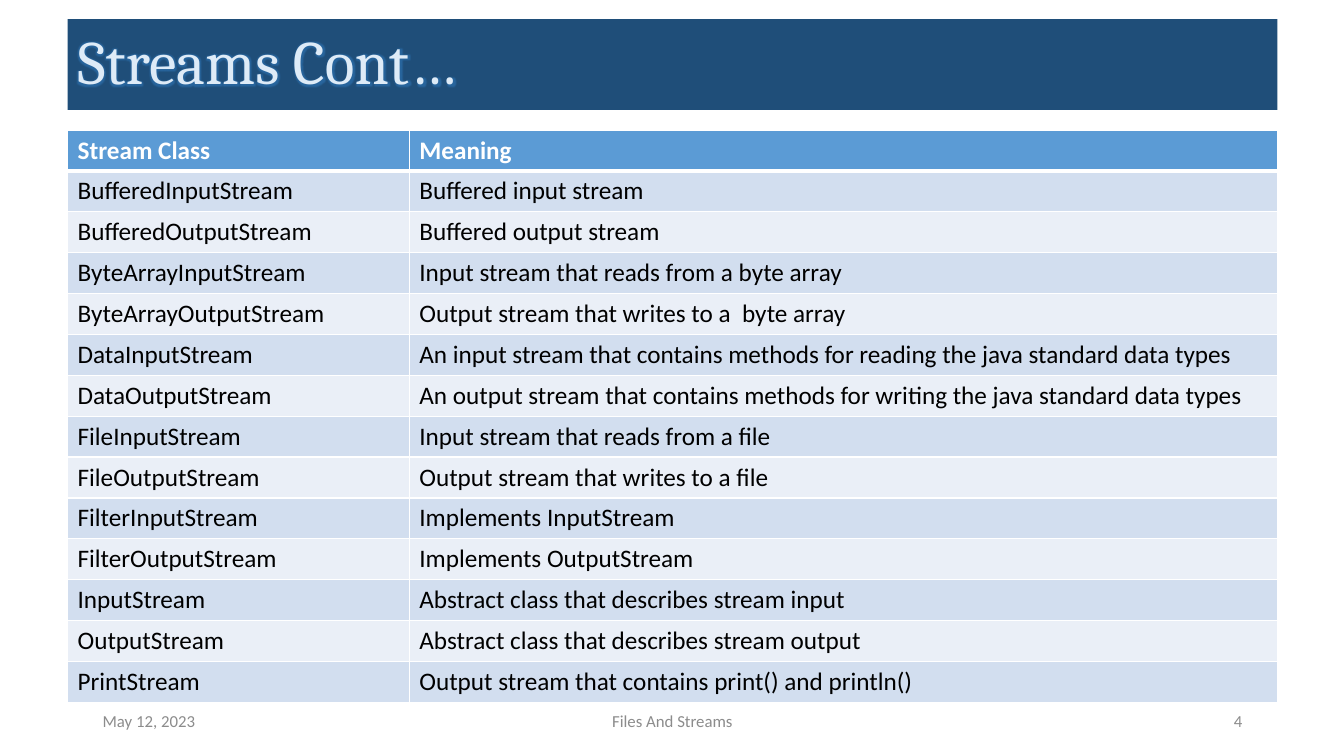
from lxml.etree import SubElement
from pptx import Presentation
from pptx.dml.color import RGBColor
from pptx.enum.text import MSO_ANCHOR, PP_ALIGN
from pptx.oxml import parse_xml
from pptx.oxml.ns import nsdecls, qn
from pptx.util import Inches, Pt

NAVY = RGBColor(0x1F, 0x4E, 0x79)
PALE = RGBColor(0xDE, 0xEB, 0xF7)
GLOW = RGBColor(0x2E, 0x75, 0xB6)
BLUE = RGBColor(0x5B, 0x9B, 0xD5)
BANDS = [RGBColor(0xEA, 0xEF, 0xF7), RGBColor(0xD2, 0xDE, 0xEF)]
GRAY = RGBColor(0x8C, 0x8C, 0x8C)
WHITE = RGBColor(0xFF, 0xFF, 0xFF)
BLACK = RGBColor(0, 0, 0)

LEFT, WIDTH = Inches(0.67), Inches(12)
ROW = Inches(5.68 / 14)

ROWS = [
    ("Stream Class", "Meaning"),
    ("BufferedInputStream", "Buffered input stream"),
    ("BufferedOutputStream", "Buffered output stream"),
    ("ByteArrayInputStream", "Input stream that reads from a byte array"),
    ("ByteArrayOutputStream", "Output stream that writes to a  byte array"),
    ("DataInputStream", "An input stream that contains methods for reading the java standard data types"),
    ("DataOutputStream", "An output stream that contains methods for writing the java standard data types"),
    ("FileInputStream", "Input stream that reads from a file"),
    ("FileOutputStream", "Output stream that writes to a file"),
    ("FilterInputStream", "Implements InputStream"),
    ("FilterOutputStream", "Implements OutputStream"),
    ("InputStream", "Abstract class that describes stream input"),
    ("OutputStream", "Abstract class that describes stream output"),
    ("PrintStream", "Output stream that contains print() and println()"),
]
FOOT = [
    ("May 12, 2023", 0.92, 3, PP_ALIGN.LEFT),
    ("Files And Streams", 4.42, 4.5, PP_ALIGN.CENTER),
    ("4", 9.42, 3, PP_ALIGN.RIGHT),
]


def style(frame, face, size, color, bold=False):
    """Format the first run of a text frame and return its font."""
    font = frame.paragraphs[0].runs[0].font
    font.size, font.bold = Pt(size), bold
    font.color.rgb = color
    font.name = face
    return font


def edge(cell, side, width):
    """Draw one white border of a cell."""
    line = SubElement(cell._tc.get_or_add_tcPr(), qn("a:ln" + side), w=str(Pt(width)))
    fill = SubElement(line, qn("a:solidFill"))
    SubElement(fill, qn("a:srgbClr"), val=str(WHITE))


prs = Presentation()
prs.slide_width, prs.slide_height = Inches(13.33), Inches(7.5)
slide = prs.slides.add_slide(prs.slide_layouts[5])

# Title bar with glowing text
title = slide.shapes.title
title.left, title.top, title.width, title.height = LEFT, Inches(0.19), WIDTH, Inches(0.9)
title.fill.solid()
title.fill.fore_color.rgb = NAVY
frame = title.text_frame
frame.text = "Streams Cont…"
frame.vertical_anchor = MSO_ANCHOR.MIDDLE
frame.paragraphs[0].alignment = PP_ALIGN.LEFT
frame.paragraphs[0].line_spacing = 0.9
font = style(frame, "Cambria", 44, PALE)
glow = parse_xml(
    f'<a:effectLst {nsdecls("a")}><a:glow rad="{Pt(5)}"><a:srgbClr val="{GLOW}">'
    '<a:alpha val="60000"/></a:srgbClr></a:glow></a:effectLst>'
)
font._element.find(qn("a:solidFill")).addnext(glow)

# Footer
for text, left, width, align in FOOT:
    box = slide.shapes.add_textbox(Inches(left), Inches(6.95), Inches(width), Inches(0.4))
    frame = box.text_frame
    frame.word_wrap = True
    frame.vertical_anchor = MSO_ANCHOR.MIDDLE
    frame.text = text
    frame.paragraphs[0].alignment = align
    style(frame, "Calibri", 12, GRAY)

# Table of stream classes
table = slide.shapes.add_table(len(ROWS), 2, LEFT, Inches(1.29), WIDTH, ROW * len(ROWS)).table
table.columns[0].width = Inches(3.39)
table.columns[1].width = Inches(8.61)
for r, row in enumerate(ROWS):
    table.rows[r].height = ROW
    head = r == 0
    for c, text in enumerate(row):
        cell = table.cell(r, c)
        for side in "LRTB":
            thick = (head and side == "B") or (r == 1 and side == "T")
            edge(cell, side, 3 if thick else 1)
        cell.fill.solid()
        cell.fill.fore_color.rgb = BLUE if head else BANDS[r % 2]
        cell.text_frame.text = text
        style(cell.text_frame, "Calibri", 18, WHITE if head else BLACK, head)

prs.save("out.pptx")
